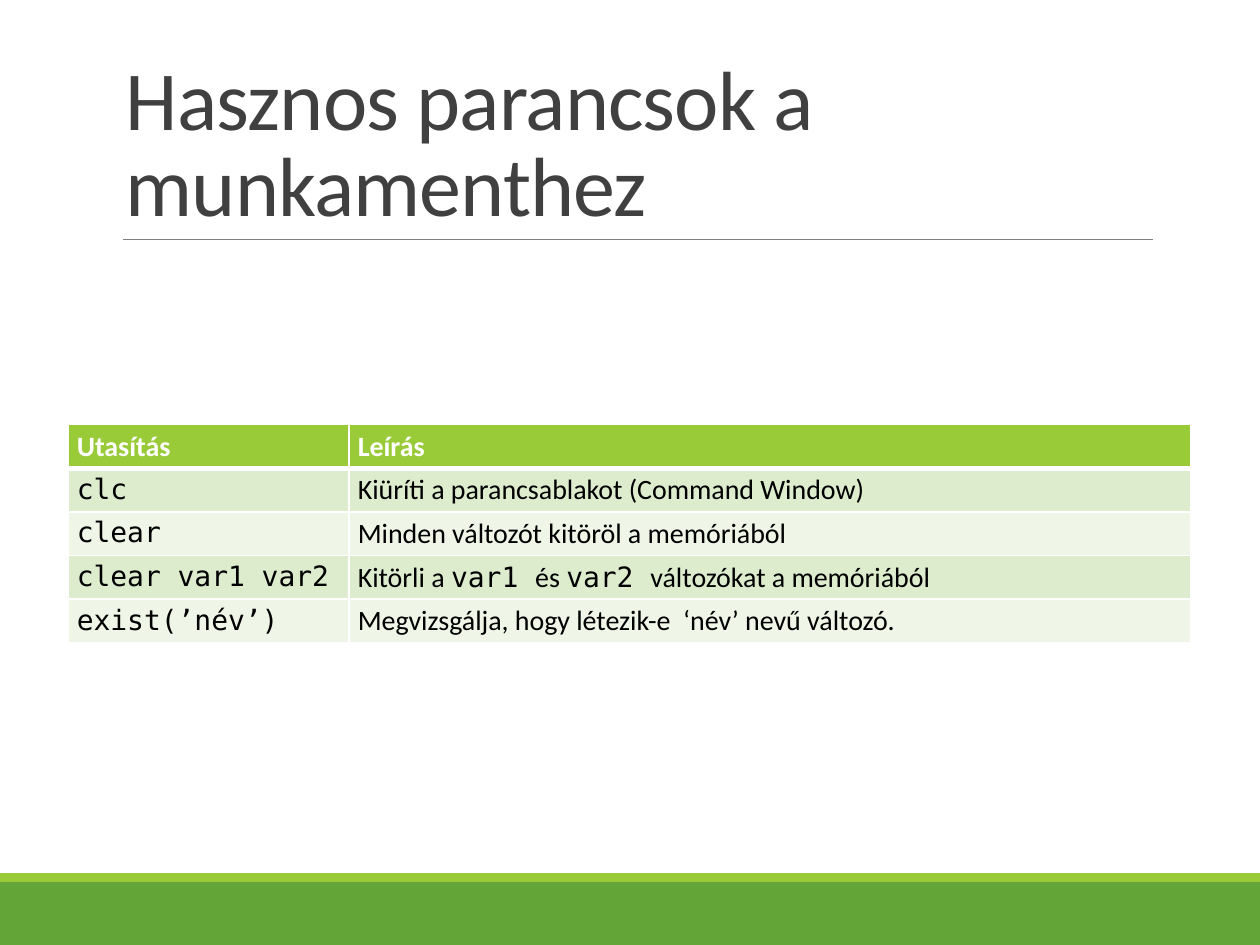
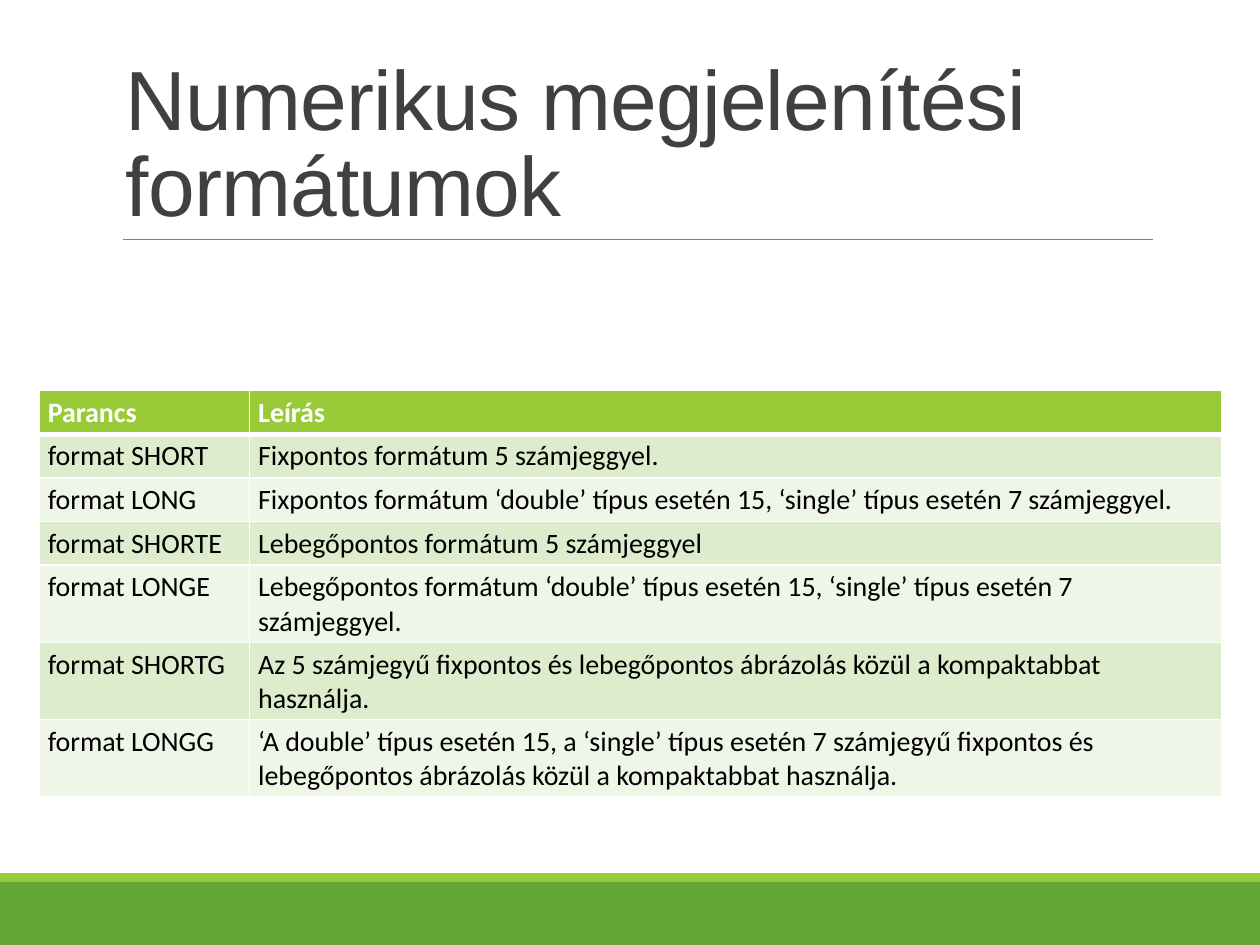
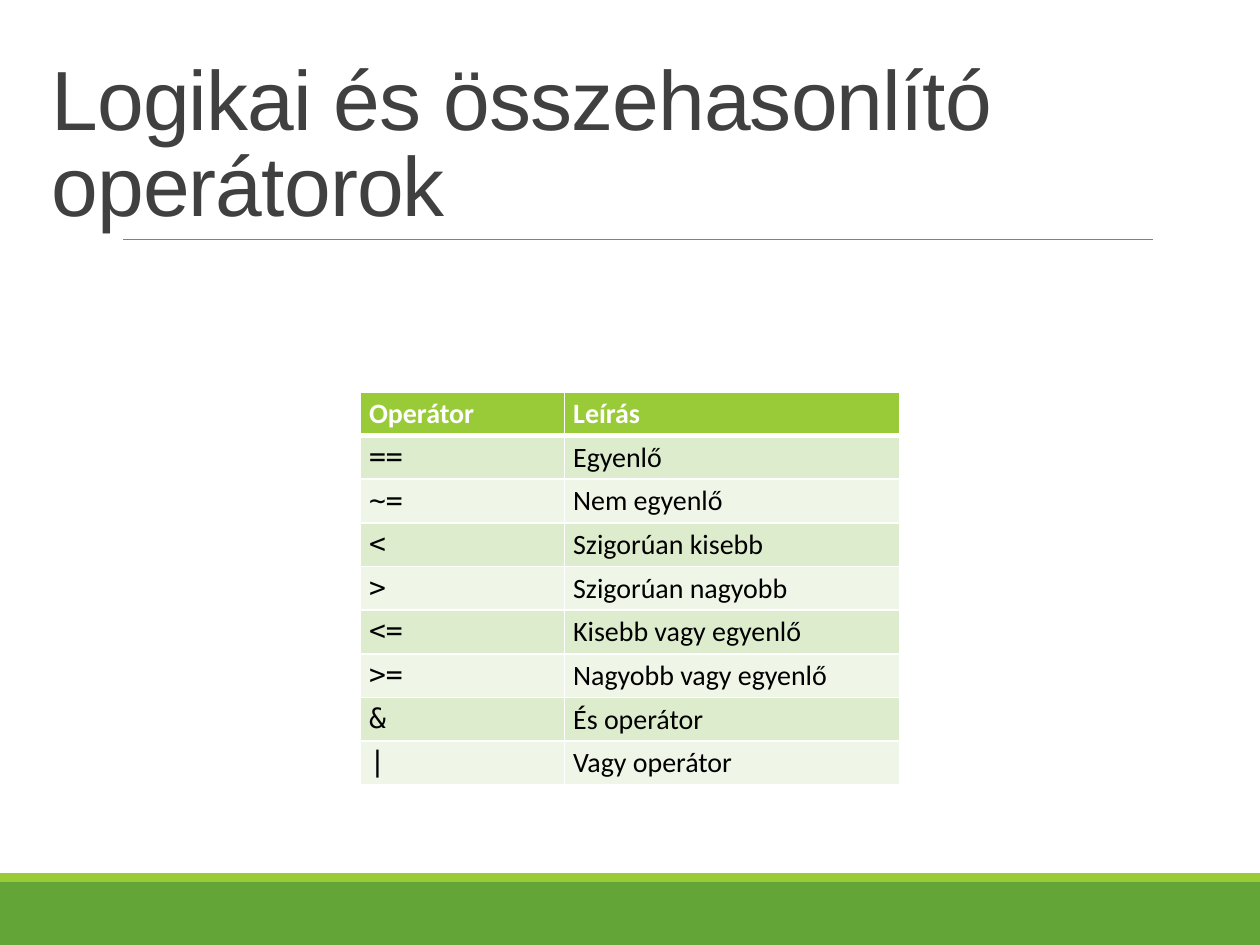
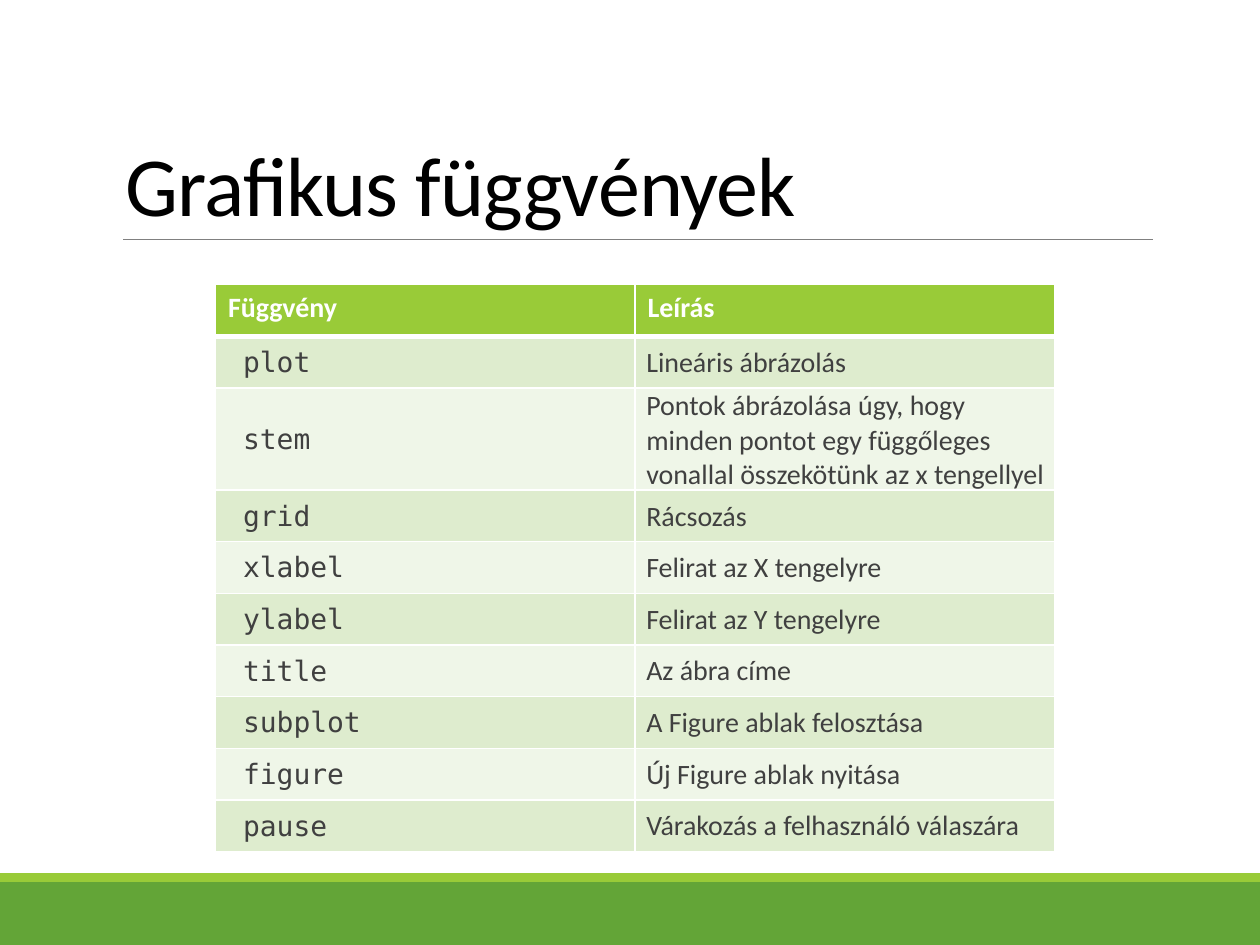
from lxml import etree
from pptx import Presentation
from pptx.dml.color import RGBColor
from pptx.enum.shapes import MSO_CONNECTOR, MSO_SHAPE
from pptx.enum.text import MSO_ANCHOR
from pptx.oxml.ns import qn
from pptx.util import Inches, Pt

RECT, LINE = MSO_SHAPE.RECTANGLE, MSO_CONNECTOR.STRAIGHT
TOP, MIDDLE, BOTTOM = MSO_ANCHOR.TOP, MSO_ANCHOR.MIDDLE, MSO_ANCHOR.BOTTOM

GREEN = RGBColor(0x63, 0xA5, 0x37)
LIME = RGBColor(0x99, 0xCB, 0x38)
BANDS = RGBColor(0xDE, 0xEC, 0xCE), RGBColor(0xEF, 0xF6, 0xE8)
WHITE = RGBColor(0xFF, 0xFF, 0xFF)
BLACK = RGBColor(0, 0, 0)
DARK = RGBColor(0x40, 0x40, 0x40)
GREY = RGBColor(0x80, 0x80, 0x80)

SANS, ARIAL, MONO = "Calibri", "Arial", "DejaVu Sans Mono"
WIDE, HIGH = 10, 7.5
TITLE_BOX = 0.9, 0.31, 8.25, 1.59
WIDE_BOX = 0.31, 0.31, 9.43, 1.59

# Cell insets: left, top, right, bottom
TIGHT = (0.07, 0.04, 0.07, 0.04)
LOOSE = (0.1, 0.05, 0.1, 0.05)
THIN = (0.09, 0.01, 0.01, 0)
INDENTED = (0.22, 0.01, 0.01, 0)

PLAIN = dict(row=0.3, ink=BLACK, anchor=TOP, head=TIGHT, insets=(TIGHT, TIGHT))
ROOMY = dict(row=0.41, ink=DARK, anchor=MIDDLE, head=LOOSE, insets=(INDENTED, THIN))

# Text between backticks is set in the code font.
SLIDES = [
    dict(
        title="Hasznos parancsok a munkamenthez",
        font=SANS, ink=DARK, box=TITLE_BOX,
        at=(0.54, 3.37), cols=(2.23, 6.68), look=PLAIN,
        rows=[
            ("Utasítás", "Leírás"),
            ("`clc`", "Kiüríti a parancsablakot (Command Window)"),
            ("`clear`", "Minden változót kitöröl a memóriából"),
            ("`clear var1 var2`",
             "Kitörli a `var1 `és `var2 `változókat a memóriából"),
            ("`exist(’név’)`",
             "Megvizsgálja, hogy létezik-e  ‘név’ nevű változó."),
        ],
    ),
    dict(
        title="Numerikus megjelenítési formátumok",
        font=ARIAL, ink=DARK, box=TITLE_BOX,
        at=(0.31, 3.1), cols=(1.67, 7.72), look=PLAIN,
        rows=[
            ("Parancs", "Leírás"),
            ("format SHORT", "Fixpontos formátum 5 számjeggyel."),
            ("format LONG", "Fixpontos formátum ‘double’ típus esetén 15, "
             "‘single’ típus esetén 7 számjeggyel."),
            ("format SHORTE", "Lebegőpontos formátum 5 számjeggyel"),
            ("format LONGE", "Lebegőpontos formátum ‘double’ típus esetén 15, "
             "‘single’ típus esetén 7 számjeggyel."),
            ("format SHORTG", "Az 5 számjegyű fixpontos és lebegőpontos "
             "ábrázolás közül a kompaktabbat használja."),
            ("format LONGG", "‘A double’ típus esetén 15, a ‘single’ típus "
             "esetén 7 számjegyű fixpontos és lebegőpontos ábrázolás közül "
             "a kompaktabbat használja."),
        ],
    ),
    dict(
        title="Logikai és összehasonlító operátorok",
        font=ARIAL, ink=DARK, box=WIDE_BOX,
        at=(2.86, 3.11), cols=(1.62, 2.66), look=PLAIN,
        rows=[
            ("Operátor", "Leírás"),
            ("`==`", "Egyenlő"),
            ("`~=`", "Nem egyenlő"),
            ("`<`", "Szigorúan kisebb"),
            ("`>`", "Szigorúan nagyobb"),
            ("`<=`", "Kisebb vagy egyenlő"),
            ("`>=`", "Nagyobb vagy egyenlő"),
            ("`&`", "És operátor"),
            ("`|`", "Vagy operátor"),
        ],
    ),
    dict(
        title="Grafikus függvények",
        font=SANS, ink=BLACK, box=TITLE_BOX,
        at=(1.71, 2.26), cols=(3.33, 3.33), look=ROOMY,
        rows=[
            ("Függvény", "Leírás"),
            ("`plot`", "Lineáris ábrázolás"),
            ("`stem`", "Pontok ábrázolása úgy, hogy minden pontot egy "
             "függőleges vonallal összekötünk az x tengellyel"),
            ("`grid`", "Rácsozás"),
            ("`xlabel`", "Felirat az X tengelyre"),
            ("`ylabel`", "Felirat az Y tengelyre"),
            ("`title`", "Az ábra címe"),
            ("`subplot`", "A Figure ablak felosztása"),
            ("`figure`", "Új Figure ablak nyitása"),
            ("`pause`", "Várakozás a felhasználó válaszára"),
        ],
    ),
]


def inches(*sizes):
    return [Inches(size) for size in sizes]


def style(run, font, size, ink, bold=False):
    run.font.name, run.font.size, run.font.bold = font, Pt(size), bold
    run.font.color.rgb = ink


def add_frame(slide):
    """Draw the footer bands and the rule under the title."""
    for top, height, fill in ((7, 0.5, GREEN), (6.93, 0.07, LIME)):
        band = slide.shapes.add_shape(RECT, *inches(0, top, WIDE, height))
        band.shadow.inherit = False
        band.fill.solid()
        band.fill.fore_color.rgb = fill
        band.line.fill.background()
    rule = slide.shapes.add_connector(LINE, *inches(0.98, 1.9, 9.15, 1.9))
    rule.line.color.rgb, rule.line.width = GREY, Pt(0.5)
    etree.SubElement(rule._element.spPr, qn("a:effectLst"))


def add_title(slide, text, font, ink, box):
    frame = slide.shapes.add_textbox(*inches(*box)).text_frame
    frame.word_wrap, frame.vertical_anchor = True, BOTTOM
    frame.text = text
    para = frame.paragraphs[0]
    para.line_spacing = 0.85
    run = para.runs[0]
    style(run, font, 48, ink)
    run._r.get_or_add_rPr().set("spc", "-50")


def add_edges(cell, row):
    """Draw white cell borders, thicker between the header and the body."""
    props = cell._tc.get_or_add_tcPr()
    top, low = (3 if row == 1 else 1), (3 if row == 0 else 1)
    for side, width in (("L", 1), ("R", 1), ("T", top), ("B", low)):
        edge = etree.SubElement(props, qn("a:ln" + side), w=str(Pt(width)))
        fill = etree.SubElement(edge, qn("a:solidFill"))
        etree.SubElement(fill, qn("a:srgbClr"), val=str(WHITE))


def fill_cell(cell, text, row, col, look):
    head = row == 0
    inset = look["head"] if head else look["insets"][col]
    (cell.margin_left, cell.margin_top,
     cell.margin_right, cell.margin_bottom) = inches(*inset)
    cell.vertical_anchor = TOP if head else look["anchor"]
    add_edges(cell, row)
    cell.fill.solid()
    cell.fill.fore_color.rgb = LIME if head else BANDS[(row - 1) % 2]
    para = cell.text_frame.paragraphs[0]
    for i, part in enumerate(text.split("`")):
        if part:
            run = para.add_run()
            run.text = part
            style(run, MONO if i % 2 else SANS, 16,
                  WHITE if head else look["ink"], head)


def add_grid(slide, rows, at, cols, look):
    size = sum(cols), look["row"] * len(rows)
    table = slide.shapes.add_table(
        len(rows), len(cols), *inches(*at, *size)).table
    table.horz_banding = False
    for column, width in zip(table.columns, cols):
        column.width = Inches(width)
    for r, texts in enumerate(rows):
        table.rows[r].height = Inches(look["row"])
        for c, text in enumerate(texts):
            fill_cell(table.cell(r, c), text, r, c, look)


def main():
    deck = Presentation()
    deck.slide_width, deck.slide_height = inches(WIDE, HIGH)
    for page in SLIDES:
        slide = deck.slides.add_slide(deck.slide_layouts[6])
        add_frame(slide)
        add_title(slide, page["title"], page["font"], page["ink"], page["box"])
        add_grid(slide, page["rows"], page["at"], page["cols"], page["look"])
    deck.save("out.pptx")


if __name__ == "__main__":
    main()
